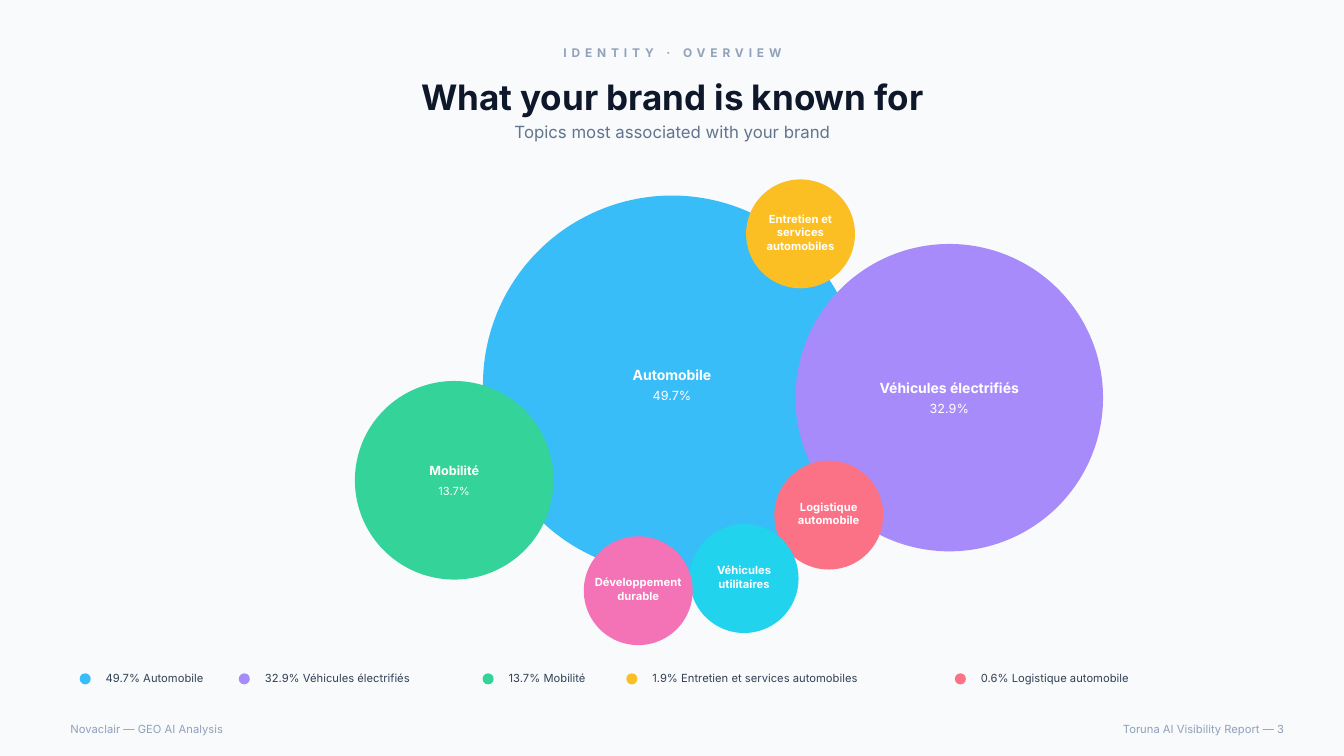
import pptx
import pptx.util
import pptx.dml.color
import pptx.enum.shapes
import pptx.enum.text

HUES = {
    "page": "F8FAFC", "title": "0F172A", "sub": "62748E", "muted": "90A1B9",
    "key": "334155", "white": "FFFFFF", "blue": "38BDF8", "violet": "A78BFA",
    "green": "34D399", "amber": "FBBF24", "rose": "FB7185", "cyan": "22D3EE",
    "pink": "F472B6",
}
HEADS = [
    ("IDENTITY · OVERVIEW", 0.4, 0.25, 8.5, "muted", True, 3.5),
    ("What your brand is known for", 0.68, 0.56, 25, "title", True, 0),
    ("Topics most associated with your brand", 1.18, 0.25, 12, "sub", False, 0),
]
FEET = [
    ("Novaclair — GEO AI Analysis", 0.6, 5.97, "LEFT"),
    ("Toruna AI Visibility Report — 3", 6.81, 6.03, "RIGHT"),
]
TOPICS = [
    ("Automobile", "49.7%", "blue", 4.79, 1.94, 3.75, 10),
    ("Véhicules électrifiés", "32.9%", "violet", 7.89, 2.42, 3.05, 10),
    ("Mobilité", "13.7%", "green", 3.52, 3.78, 1.97, 9),
    ("Entretien et services automobiles", "1.9%", "amber", 7.4, 1.78, 1.08, 8),
    ("Logistique automobile", "0.6%", "rose", 7.68, 4.57, 1.08, 8),
    ("Véhicules utilitaires", "", "cyan", 6.84, 5.2, 1.08, 8),
    ("Développement durable", "", "pink", 5.79, 5.32, 1.08, 8),
]
WIDE, HIGH = 13.33, 7.5
DOT = 0.11

Inches = pptx.util.Inches
KINDS = pptx.enum.shapes.MSO_SHAPE

deck = pptx.Presentation()
deck.slide_width, deck.slide_height = Inches(WIDE), Inches(HIGH)
slide = deck.slides.add_slide(deck.slide_layouts[6])


def tint(name):
    """Return the named colour."""
    return pptx.dml.color.RGBColor.from_string(HUES[name])


def draw(kind, hue, *place):
    """Add a plain filled shape."""
    shape = slide.shapes.add_shape(kind, *map(Inches, place))
    shape.shadow.inherit = False
    shape.fill.solid()
    shape.fill.fore_color.rgb = tint(hue)
    shape.line.fill.background()


def write(text, place, size, hue, bold=False, align="CENTER", track=0):
    """Add one line or wrapped block of text."""
    frame = slide.shapes.add_textbox(*map(Inches, place)).text_frame
    frame.word_wrap = True
    frame.vertical_anchor = pptx.enum.text.MSO_ANCHOR.MIDDLE
    para = frame.paragraphs[0]
    para.text = text
    para.alignment = pptx.enum.text.PP_ALIGN[align]
    font = para.font
    font.name, font.size, font.bold = "Inter", pptx.util.Pt(size), bold
    font.color.rgb = tint(hue)
    if track:
        para.runs[0].font._element.set("spc", str(round(track * 100)))


draw(KINDS.RECTANGLE, "page", 0, 0, WIDE, HIGH)
for text, top, tall, size, hue, bold, track in HEADS:
    write(text, (0.6, top, 12.14, tall), size, hue, bold, track=track)
for text, left, wide, align in FEET:
    write(text, (left, 7.12, wide, 0.22), 8, "muted", align=align)

for topic, share, hue, left, top, side, size in TOPICS:
    draw(KINDS.OVAL, hue, left, top, side, side)
    mid = top + side / 2
    if side > 1.5:
        write(topic, (left, mid - 0.21, side, 0.22), size, "white", True)
        write(share, (left, mid + 0.01, side, 0.19), size - 1, "white")
    else:
        write(topic, (left, mid - 0.11, side, 0.19), size, "white", True)

left = 0.79
for topic, share, hue, *rest in TOPICS:
    if share:
        wide = 0.17 + (len(share) + 2 + len(topic)) * 0.84 / 11
        draw(KINDS.OVAL, hue, left, 6.68, DOT, DOT)
        write(f"{share} {topic}", (left + 0.16, 6.62, wide, 0.22), 8, "key", align="LEFT")
        left += wide + DOT

deck.save("out.pptx")
